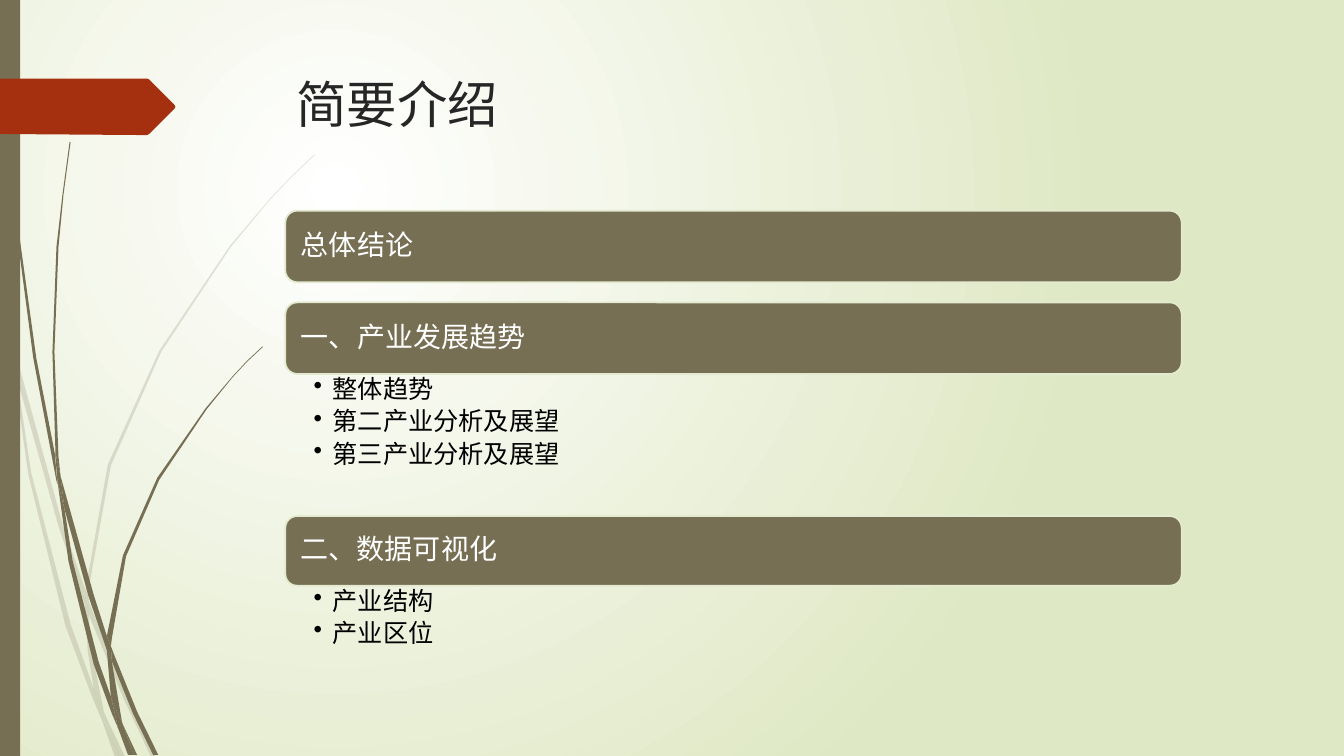
from lxml import etree
from pptx import Presentation
from pptx import util as u
from pptx.dml.color import RGBColor
from pptx.enum import shapes, text
from pptx.oxml import ns

UNIT = 9144
FONT = "TeX Gyre Adventor"
OLIVE, RUST, CREAM = "766F54", "A53010", "E3EACF"
LEFT, WIDE = 283, 889

PALE = [
    "11,350 9,322 0,282 0,299 10,344",
    "58,522 84,599 85,586 62,520 14,345 17,376",
    "92,607 88,596 88,610 123,694 150,751 155,751 127,692",
    "119,751 124,751 105,711",
    "93,683 70,619 31,469 17,376 11,350 28,470 65,621 92,693 101,714 99,707",
    "84,599 87,646 93,683 96,692 105,711 103,706 91,646 88,610 88,608",
    "88,584 110,462 160,349 229,245 268,198 290,175 312,154 312,153 289,175"
    " 268,197 228,244 158,348 107,461 85,584 85,586 88,596",
    "101,714 114,751 119,751",
    "88,608 88,610 88,596 85,586 84,599",
    "96,692 93,683 99,707 101,714 119,751 105,711",
]
DARK = [
    "7,110 17,233 33,355 56,477 57,481 55,457 55,453 36,355 19,232 8,109"
    " 5,48 4,0 3,0 4,48",
    "88,592 106,645 106,633 106,631 93,590 60,472 64,505",
    "113,649 110,641 111,656 132,708 152,749 157,749 136,706",
    "110,691 98,657 72,556 64,505 57,477 68,557 93,659 111,708 117,722 116,717",
    "60,472 58,453 54,349 58,245 63,193 70,141 69,141 62,193 56,245 52,349"
    " 55,449",
    "133,749 136,749 122,719",
    "57,477 64,505 60,472 55,449 55,453",
    "111,633 125,552 158,476 205,406 231,374 245,359 261,344 260,344 245,358"
    " 231,373 204,405 156,474 122,551 106,631 110,641",
    "117,722 127,749 131,749",
    "106,645 110,691 116,706 122,719 121,716 111,656 109,651",
    "106,645 109,651 111,656 110,641 106,631 106,633",
    "116,706 110,691 116,717 117,722 130,749 133,749 122,719",
]
FLAG = "173,108 148,133 146,134 136,134 0,133 0,78 136,78 146,78 148,79 173,104 174,106"

TOPICS = [
    (209, 71, "总体结论", []),
    (300, 71, "一、产业发展趋势", ["整体趋势", "第二产业分析及展望", "第三产业分析及展望"]),
    (512, 69, "二、数据可视化", ["产业结构", "产业区位"]),
]


def color(code):
    """Turn a hex string into a colour."""
    return RGBColor.from_string(code)


def place(*sizes):
    """Turn hundredths of an inch into lengths."""
    return [u.Emu(size * UNIT) for size in sizes]


def child(node, tag, **attrs):
    """Append a drawing element to a node."""
    return etree.SubElement(node, ns.qn(tag), attrs)


def paint(shape, fill, line=None):
    """Give a shape a plain fill and an optional outline."""
    shape.shadow.inherit = False
    shape.fill.solid()
    shape.fill.fore_color.rgb = color(fill)
    if line:
        shape.line.color.rgb = color(line)
        shape.line.width = u.Pt(1.25)
    else:
        shape.line.fill.background()


def outline(slide, points, fill, alpha=None):
    """Draw a closed outline through the given points."""
    first, *rest = [tuple(map(int, pair.split(","))) for pair in points.split()]
    pen = slide.shapes.build_freeform(*first, scale=UNIT)
    pen.add_line_segments(rest, close=True)
    shape = pen.convert_to_shape()
    paint(shape, fill)
    if alpha:
        tone = shape._element.spPr.find(ns.qn("a:solidFill"))[0]
        child(tone, "a:alpha", val=str(alpha * 1000))


def frame(shape, insets, anchor=text.MSO_ANCHOR.TOP):
    """Set the wrapping, insets and anchor of a text frame."""
    body = shape.text_frame
    body.word_wrap = True
    body.vertical_anchor = anchor
    (body.margin_left, body.margin_top,
     body.margin_right, body.margin_bottom) = place(*insets)
    return body


def write(para, words, size, fill):
    """Add one run of text to a paragraph."""
    para.alignment = text.PP_ALIGN.LEFT
    run = para.add_run()
    run.text = words
    run.font.name = FONT
    run.font.size = u.Pt(size)
    run.font.color.rgb = color(fill)


def space(para, after):
    """Set tight lines and a relative gap after a paragraph."""
    para.line_spacing = 0.9
    props = para._p.get_or_add_pPr()
    gap = child(props, "a:spcAft")
    child(gap, "a:spcPct", val=str(after * 1000))
    return props


def title(slide, words):
    """Add the slide heading."""
    box = slide.shapes.add_textbox(*place(284, 68, 975, 140))
    write(frame(box, (10, 5, 10, 5)).paragraphs[0], words, 36, "262626")


def bar(slide, top, high, words):
    """Add a rounded topic bar with its label."""
    shape = slide.shapes.add_shape(
        shapes.MSO_SHAPE.ROUNDED_RECTANGLE, *place(LEFT, top, WIDE, high))
    paint(shape, OLIVE, CREAM)
    body = frame(shape, (12, 11, 12, 11), text.MSO_ANCHOR.MIDDLE)
    space(body.paragraphs[0], 35)
    write(body.paragraphs[0], words, 20, "FFFFFF")


def points(slide, top, high, items):
    """Add the bulleted points below a topic bar."""
    box = slide.shapes.add_textbox(*place(LEFT, top, WIDE, high))
    body = frame(box, (28, 3, 14, 3))
    for num, item in enumerate(items):
        para = body.add_paragraph() if num else body.paragraphs[0]
        para.level = 1
        props = space(para, 20)
        props.set("marL", str(19 * UNIT))
        props.set("indent", str(-19 * UNIT))
        child(props, "a:buChar", char="•")
        write(para, item, 18, "000000")


def backdrop(slide):
    """Fill the background with a round glow."""
    fill = slide.background.fill
    fill.gradient()
    for stop, code, spot in zip(fill.gradient_stops, ("FFFFFF", "DFE8C4"), (0, 1)):
        stop.color.rgb = color(code)
        stop.position = spot
    lin = next(slide._element.iter(ns.qn("a:lin")))
    glow = child(lin.getparent(), "a:path", path="circle")
    child(glow, "a:fillToRect", l="50000", t="50000", r="100000", b="100000")
    lin.getparent().replace(lin, glow)


def main():
    """Build and save the slide."""
    deck = Presentation()
    deck.slide_width, deck.slide_height = place(1333, 750)
    slide = deck.slides.add_slide(deck.slide_layouts[6])
    backdrop(slide)
    for blade in PALE:
        outline(slide, blade, OLIVE, 20)
    for blade in DARK:
        outline(slide, blade, OLIVE)
    edge = slide.shapes.add_shape(shapes.MSO_SHAPE.RECTANGLE, *place(0, 0, 20, 750))
    paint(edge, OLIVE)
    outline(slide, FLAG, RUST)
    title(slide, "简要介绍")
    for top, high, name, items in TOPICS:
        bar(slide, top, high, name)
        if items:
            points(slide, top + high, 48 + 35 * (len(items) - 1) + 22, items)
    deck.save("out.pptx")


if __name__ == "__main__":
    main()
